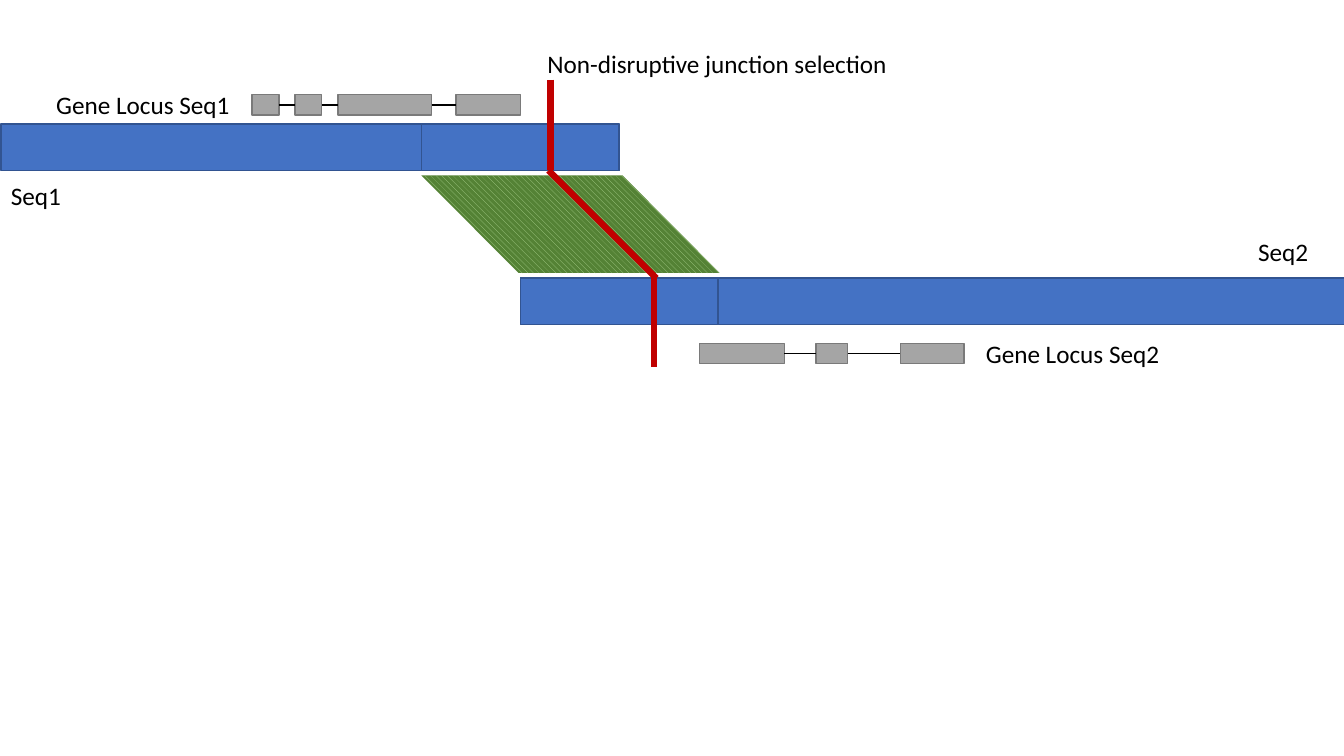
from collections import namedtuple

from lxml.etree import SubElement
from pptx import Presentation
from pptx.dml.color import RGBColor
from pptx.enum.dml import MSO_PATTERN
from pptx.enum.shapes import MSO_CONNECTOR, MSO_SHAPE
from pptx.enum.text import MSO_AUTO_SIZE
from pptx.oxml.ns import qn
from pptx.util import Inches, Pt

Box = namedtuple("Box", "left top width height")

BLUE, BLUE_EDGE = "4472C4", "325491"
GRAY, GRAY_EDGE = "A5A5A5", "7A7A7A"
GREEN, LIGHT_GREEN = "548235", "A9D18E"
RED, BLACK, WHITE = "C00000", "000000", "FFFFFF"


def color(hex_text):
    """Turn a hex string into a colour."""
    return RGBColor.from_string(hex_text)


def add_block(page, box, fill, edge=None, pattern=None, back=WHITE, kind=MSO_SHAPE.RECTANGLE):
    """Draw a solid or patterned shape in the box."""
    shape = page.shapes.add_shape(kind, *map(Inches, box))
    shape.shadow.inherit = False
    if pattern:
        shape.fill.patterned()
        shape.fill.pattern = pattern
        shape.fill.back_color.rgb = color(back)
    else:
        shape.fill.solid()
    shape.fill.fore_color.rgb = color(fill)
    if edge:
        shape.line.color.rgb = color(edge)
        shape.line.width = Pt(1)
    else:
        shape.line.fill.background()
    return shape


def add_line(page, start, end, line_color=BLACK, width=1):
    """Draw a straight line between two points."""
    line = page.shapes.add_connector(MSO_CONNECTOR.STRAIGHT, *map(Inches, (*start, *end)))
    line.line.color.rgb = color(line_color)
    line.line.width = Pt(width)
    SubElement(line._element.spPr, qn("a:effectLst"))


def add_text(page, box, text, size=18, font="Calibri", text_color=BLACK):
    """Place a one-line label in the box."""
    label = page.shapes.add_textbox(*map(Inches, box))
    label.text_frame.word_wrap = False
    label.text_frame.auto_size = MSO_AUTO_SIZE.SHAPE_TO_FIT_TEXT
    span = label.text_frame.paragraphs[0].add_run()
    span.text = text
    span.font.size = Pt(size)
    span.font.name = font
    span.font.color.rgb = color(text_color)


def draw_sequence(page, box, overlap_start, overlap_share):
    """Draw a sequence bar and its overlapping part, given as shares of the bar."""
    add_block(page, box, BLUE, BLUE_EDGE)
    overlap = box._replace(left=box.left + overlap_start * box.width,
                           width=overlap_share * box.width)
    add_block(page, overlap, BLUE, BLUE_EDGE, MSO_PATTERN.DARK_VERTICAL)


def draw_homology(page, box):
    """Draw the slanted band that joins both overlaps."""
    band = add_block(page, box, LIGHT_GREEN, pattern=MSO_PATTERN.WIDE_DOWNWARD_DIAGONAL,
                     back=GREEN, kind=MSO_SHAPE.PARALLELOGRAM)
    band.adjustments[0] = 0.995
    band._element.spPr.xfrm.set("flipH", "1")


def draw_gene(page, box, exons):
    """Draw exons, given as (start, width) shares, with introns between them."""
    middle = box.top + box.height / 2
    previous_end = None
    for start, share in exons:
        left, width = box.left + start * box.width, share * box.width
        add_block(page, box._replace(left=left, width=width), GRAY, GRAY_EDGE)
        if previous_end is not None:
            add_line(page, (previous_end, middle), (left, middle))
        previous_end = left + width


def draw_junction(page, box, stem, lap=0.02):
    """Draw the red cut: a stem at each end and a diagonal between them."""
    right, bottom = box.left + box.width, box.top + box.height
    upper, lower = box.top + stem, bottom - stem
    for start, end in (
        ((box.left, box.top), (box.left, upper)),
        ((right, lower), (right, bottom)),
        ((box.left - lap, upper), (right + lap, lower + lap)),
    ):
        add_line(page, start, end, RED, 4.5)


def draw_labels(page, labels, height=0.4):
    """Write each label at its left, top and width."""
    for text, left, top, width in labels:
        add_text(page, Box(left, top, width, height), text)


deck = Presentation()
deck.slide_width, deck.slide_height = Inches(13.33), Inches(7.5)
page = deck.slides.add_slide(deck.slide_layouts[6])

draw_sequence(page, Box(5.16, 2.76, 8.18, 0.46), 0, 0.24)
draw_sequence(page, Box(0.01, 1.23, 6.13, 0.46), 0.68, 0.32)
draw_homology(page, Box(4.18, 1.74, 2.96, 0.97))
draw_gene(page, Box(2.5, 0.94, 2.66, 0.2), [(0, 0.1), (0.16, 0.1), (0.32, 0.35), (0.76, 0.24)])
draw_gene(page, Box(6.94, 3.41, 2.62, 0.2), [(0, 0.32), (0.44, 0.12), (0.76, 0.24)])
draw_junction(page, Box(5.46, 0.79, 1.03, 2.85), stem=0.9)
draw_labels(page, [
    ("Gene Locus Seq2", 9.68, 3.31, 1.94),
    ("Seq2", 12.38, 2.3, 0.71),
    ("Seq1", 0.01, 1.74, 0.71),
    ("Gene Locus Seq1", 0.46, 0.84, 1.94),
    ("Non-disruptive junction selection", 5.33, 0.43, 3.61),
])

deck.save("out.pptx")
